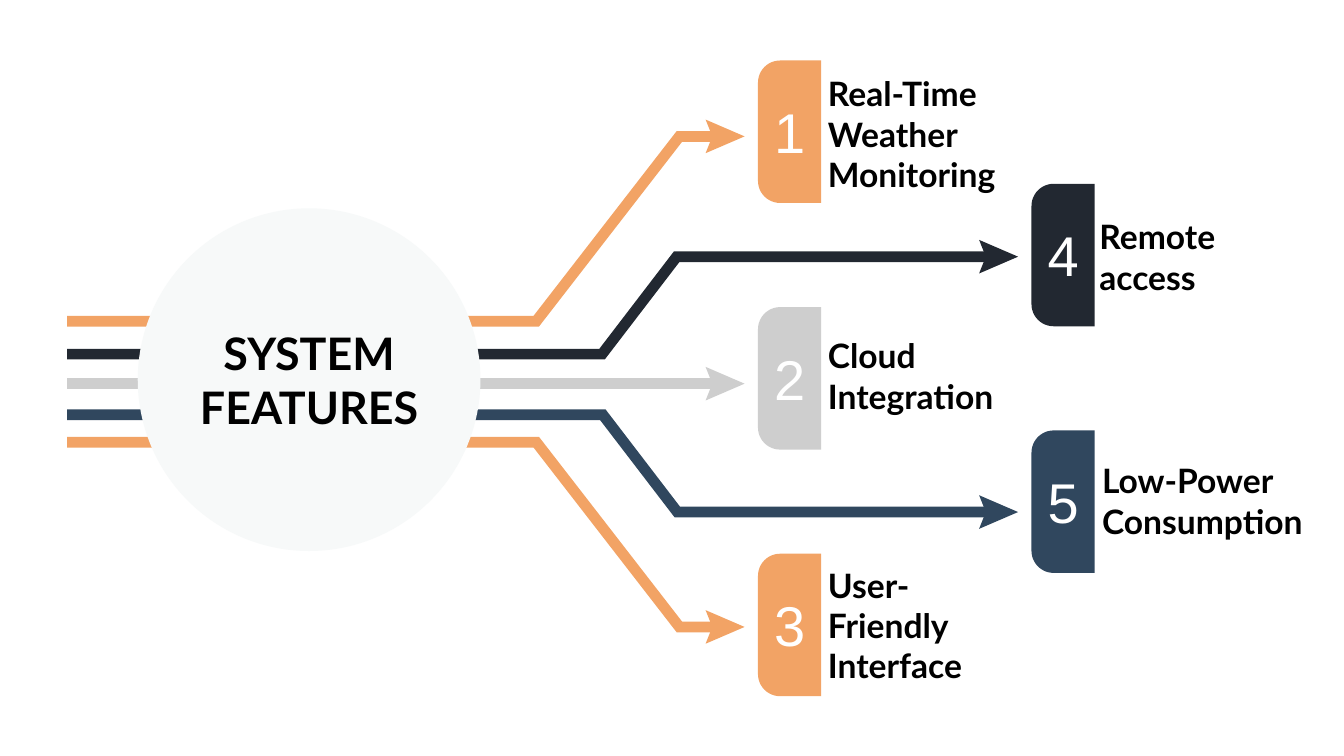
from pptx import Presentation
from pptx.dml.color import RGBColor
from pptx.enum.shapes import MSO_SHAPE as Shape
from pptx.enum.text import MSO_ANCHOR as Anchor, PP_ALIGN as Align
from pptx.util import Inches, Pt

ORANGE = RGBColor(0xF2, 0xA3, 0x65)
DARK = RGBColor(0x22, 0x28, 0x31)
GREY = RGBColor(0xCE, 0xCE, 0xCE)
BLUE = RGBColor(0x30, 0x47, 0x5E)
PALE = RGBColor(0xF7, 0xF9, 0xF9)
BLACK = RGBColor(0, 0, 0)
WHITE = RGBColor(0xFF, 0xFF, 0xFF)

HALF = 0.08   # half the thickness of a band
SLANT = 0.04  # sideways shift of a band's edges at a bend
TAB_W, TAB_H = 0.94, 2.12
TAB_TOP, TAB_STEP = 0.9, 1.835
NEAR, FAR = 11.28, 15.35

# number, label, colour, tab left, start y, end y, bend xs, label box
ITEMS = [
    ("1", "Real-Time Weather Monitoring", ORANGE, NEAR, 4.78, 2.03,
     (7.98, 10.11), (12.32, 1.09, 2.52, 1.79)),
    ("4", "Remote access", DARK, FAR, 5.27, 3.82,
     (8.96, 10.07), (16.36, 3.22, 2.52, 1.2)),
    ("2", "Cloud Integration", GREY, NEAR, 5.71, 5.71,
     (), (12.32, 4.99, 3.34, 1.2)),
    ("5", "Low-Power Consumption", BLUE, FAR, 6.17, 7.62,
     (8.97, 10.08), (16.4, 6.85, 3.15, 1.2)),
    ("3", "User-Friendly Interface", ORANGE, NEAR, 6.58, 9.33,
     (7.98, 10.11), (12.32, 8.4, 2.52, 1.79)),
]


def paint(shape, color):
    shape.shadow.inherit = False
    shape.fill.solid()
    shape.fill.fore_color.rgb = color
    shape.line.fill.background()


def add_outline(slide, points, color):
    first, *rest = [(Inches(x), Inches(y)) for x, y in points]
    pen = slide.shapes.build_freeform(*first)
    pen.add_line_segments(rest, close=True)
    paint(pen.convert_to_shape(), color)


def add_text(slide, box, text, size, font, color, bold=False,
             align=Align.LEFT, anchor=Anchor.TOP, inset=0):
    frame = slide.shapes.add_textbox(*map(Inches, box)).text_frame
    frame.word_wrap = True
    frame.vertical_anchor = anchor
    frame.margin_left = frame.margin_right = Inches(inset)
    frame.margin_top = frame.margin_bottom = Inches(inset)
    para = frame.paragraphs[0]
    para.text = text
    para.alignment = align
    para.line_spacing = Pt(size * 1.2)
    para.font.size = Pt(size)
    para.font.name = font
    para.font.bold = bold
    para.font.color.rgb = color


def add_arrow(slide, start, end, bends, tip, color):
    """Draw a band from the left edge to its arrowhead, sloping between bends."""
    slant = SLANT if end < start else -SLANT

    def edge(side):
        slope = [(x + side * slant, y + side * HALF)
                 for x, y in zip(bends, (start, end))]
        return [(1, start + side * HALF), *slope,
                (tip - 0.39, end + side * HALF)]

    add_outline(slide, edge(-1) + edge(1)[::-1], color)
    back = tip - 0.58
    add_outline(slide, [(back, end - 0.25), (back + 0.1, end),
                        (back, end + 0.25), (tip, end)], color)


def add_hub(slide, box, text):
    paint(slide.shapes.add_shape(Shape.OVAL, *map(Inches, box)), PALE)
    add_text(slide, box, text, 48, "Lato", BLACK, True,
             Align.CENTER, Anchor.MIDDLE, 0.06)


def add_tab(slide, left, top, number, color):
    """Draw a numbered tab with round left corners: a shape turned on its side."""
    shift = (TAB_H - TAB_W) / 2
    tab = slide.shapes.add_shape(
        Shape.ROUND_2_SAME_RECTANGLE, Inches(left - shift), Inches(top + shift),
        Inches(TAB_H), Inches(TAB_W))
    tab.rotation = 270
    tab.adjustments[0] = 0.35
    paint(tab, color)
    add_text(slide, (left, top - 0.02, TAB_W, TAB_H + 0.02), number, 60,
             "Arial", WHITE, False, Align.CENTER, Anchor.MIDDLE, 0.06)


def main():
    deck = Presentation()
    deck.slide_width, deck.slide_height = Inches(20), Inches(11.25)
    slide = deck.slides.add_slide(deck.slide_layouts[6])
    for _, _, color, left, start, end, bends, _ in ITEMS:
        add_arrow(slide, start, end, bends, left - 0.2, color)
    add_hub(slide, (2.05, 3.1, 5.1, 5.1), "SYSTEM FEATURES")
    for row, (number, label, color, left, _, _, _, box) in enumerate(ITEMS):
        add_tab(slide, left, TAB_TOP + row * TAB_STEP, number, color)
        add_text(slide, box, label, 36, "Lato", BLACK, True)
    deck.save("out.pptx")


if __name__ == "__main__":
    main()
